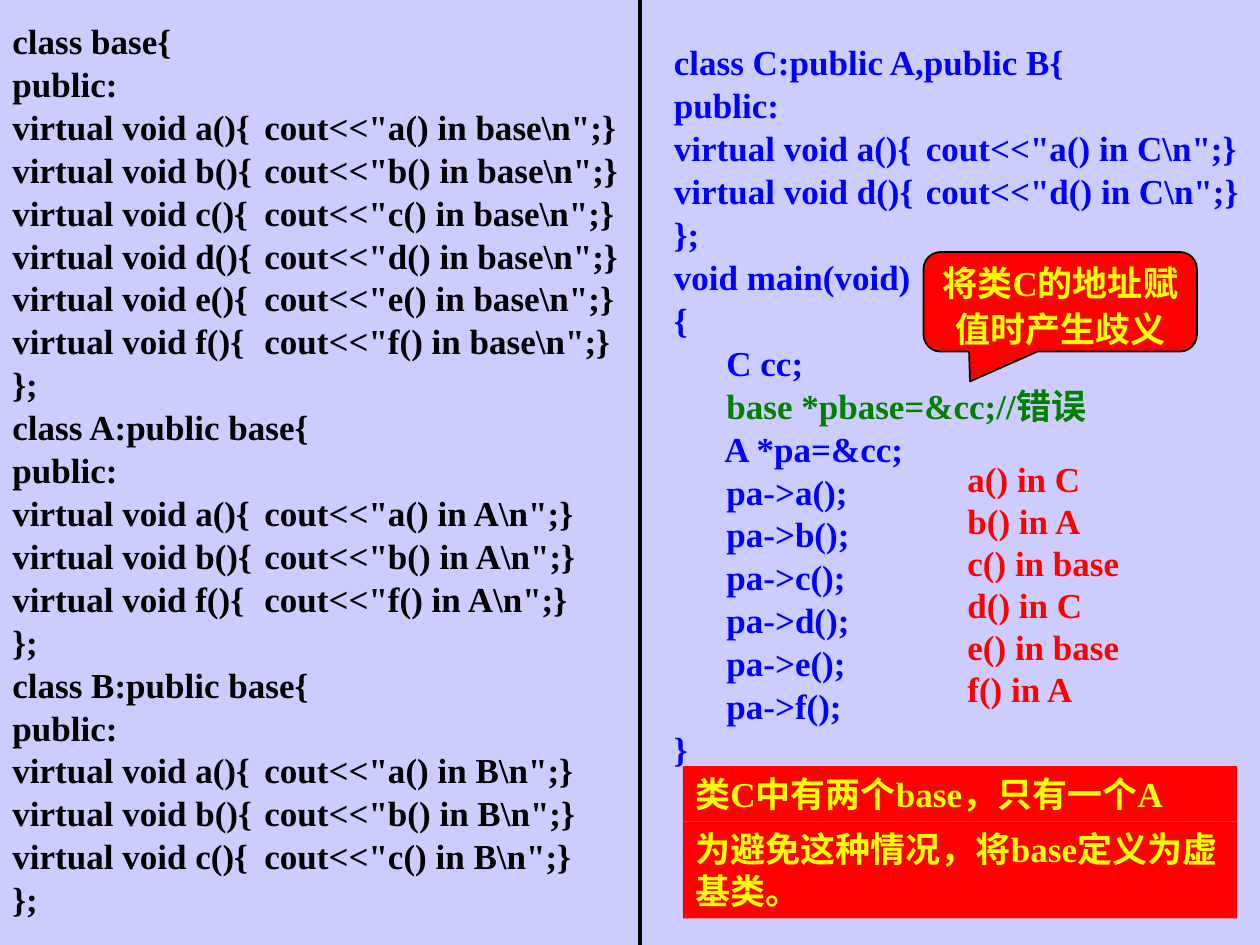
from lxml import etree
from pptx import Presentation
from pptx import util as u
from pptx.dml.color import RGBColor
from pptx.enum import shapes, text
from pptx.oxml import ns

BASE = r'''class base{
public:
virtual void a(){	cout<<"a() in base\n";}
virtual void b(){	cout<<"b() in base\n";}
virtual void c(){	cout<<"c() in base\n";}
virtual void d(){	cout<<"d() in base\n";}
virtual void e(){	cout<<"e() in base\n";}
virtual void f(){	cout<<"f() in base\n";}
};
class A:public base{
public:
virtual void a(){	cout<<"a() in A\n";}
virtual void b(){	cout<<"b() in A\n";}
virtual void f(){	cout<<"f() in A\n";}
};
class B:public base{
public:
virtual void a(){	cout<<"a() in B\n";}
virtual void b(){	cout<<"b() in B\n";}
virtual void c(){	cout<<"c() in B\n";}
};'''.split("\n")

MAIN = r'''class C:public A,public B{
public:
virtual void a(){	cout<<"a() in C\n";}
virtual void d(){	cout<<"d() in C\n";}
};
void main(void)
{
      C cc;
      base *pbase=&cc;//错误
      A *pa=&cc;
      pa->a();
      pa->b();
      pa->c();
      pa->d();
      pa->e();
      pa->f();
}'''.split("\n")

OUTPUT = ["a() in C", "b() in A", "c() in base", "d() in C", "e() in base", "f() in A"]
CALL = "将类C的地址赋值时产生歧义"
NOTES = [(6.08, 0.44, "类C中有两个base，只有一个A"),
         (6.52, 0.77, "为避免这种情况，将base定义为虚基类。")]

BLACK, BLUE, GREEN = "000000", "0000FF", "008000"
RED, YELLOW, LILAC = "FF0000", "FFFF00", "CCCCFF"
FONT = {"name": "Times New Roman", "size": u.Pt(20), "bold": True}
CODE = {"line_spacing": 0.5}
PAD = (0.1, 0.05)


def color(fmt, hue):
    fmt.rgb = RGBColor.from_string(hue)


def paint(fill, hue):
    fill.solid()
    color(fill.fore_color, hue)


def put(obj, vals):
    for key, val in vals.items():
        setattr(obj, key, val)


def write(box, lines, hue, style, pad=PAD):
    frame = box.text_frame
    side, edge = map(u.Inches, pad)
    put(frame, {"margin_left": side, "margin_right": side,
                "margin_top": edge, "margin_bottom": edge, "word_wrap": True,
                "vertical_anchor": text.MSO_ANCHOR.TOP,
                "auto_size": text.MSO_AUTO_SIZE.SHAPE_TO_FIT_TEXT})
    for i, line in enumerate(lines):
        para = frame.add_paragraph() if i else frame.paragraphs[0]
        put(para, {"alignment": text.PP_ALIGN.LEFT,
                   "space_before": u.Pt(12.5 if i else 0), **style})
        if "\t" in line:
            tabs = etree.SubElement(para._p.get_or_add_pPr(), ns.qn("a:tabLst"))
            etree.SubElement(tabs, ns.qn("a:tab"), pos=str(u.Inches(2)), algn="l")
        run = para.add_run()
        run.text = line
        put(run.font, FONT)
        color(run.font.color, GREEN if "//" in line else hue)


def label(area, lines, hue, style):
    write(slide.shapes.add_textbox(*map(u.Inches, area)), lines, hue, style)


def block(kind, area):
    box = slide.shapes.add_shape(kind, *map(u.Inches, area))
    box.shadow.inherit = False
    paint(box.fill, RED)
    return box


deck = Presentation()
put(deck, {"slide_width": u.Inches(10), "slide_height": u.Inches(7.5)})
slide = deck.slides.add_slide(deck.slide_layouts[6])
paint(slide.background.fill, LILAC)

label((0, 0.25, 5.08, 7.08), BASE, BLACK, CODE)
label((5.25, 0.42, 4.75, 5.72), MAIN, BLUE, CODE)

rule = slide.shapes.add_connector(
    shapes.MSO_CONNECTOR.STRAIGHT, *map(u.Inches, (5.08, 0, 5.08, 7.5)))
rule.line.width = u.Pt(2.25)
color(rule.line.color, BLACK)
etree.SubElement(rule._element.spPr, ns.qn("a:effectLst"))

call = block(shapes.MSO_SHAPE.ROUNDED_RECTANGULAR_CALLOUT, (7.33, 2, 2.17, 0.79))
for i, val in enumerate((-0.33, 0.8, 0.17)):
    call.adjustments[i] = val
call.line.width = u.Pt(1)
color(call.line.color, BLACK)
write(call, [CALL], YELLOW,
      {"alignment": text.PP_ALIGN.CENTER, "line_spacing": 1.1}, (0.02, 0))

for i, line in enumerate(OUTPUT):
    label((7.58, 3.58 + i / 3, 1.5, 0.44), [line], RED, {})

for top, high, line in NOTES:
    note = block(shapes.MSO_SHAPE.RECTANGLE, (5.42, top, 4.4, high))
    note.line.fill.background()
    write(note, [line], YELLOW, {})

deck.save("out.pptx")
